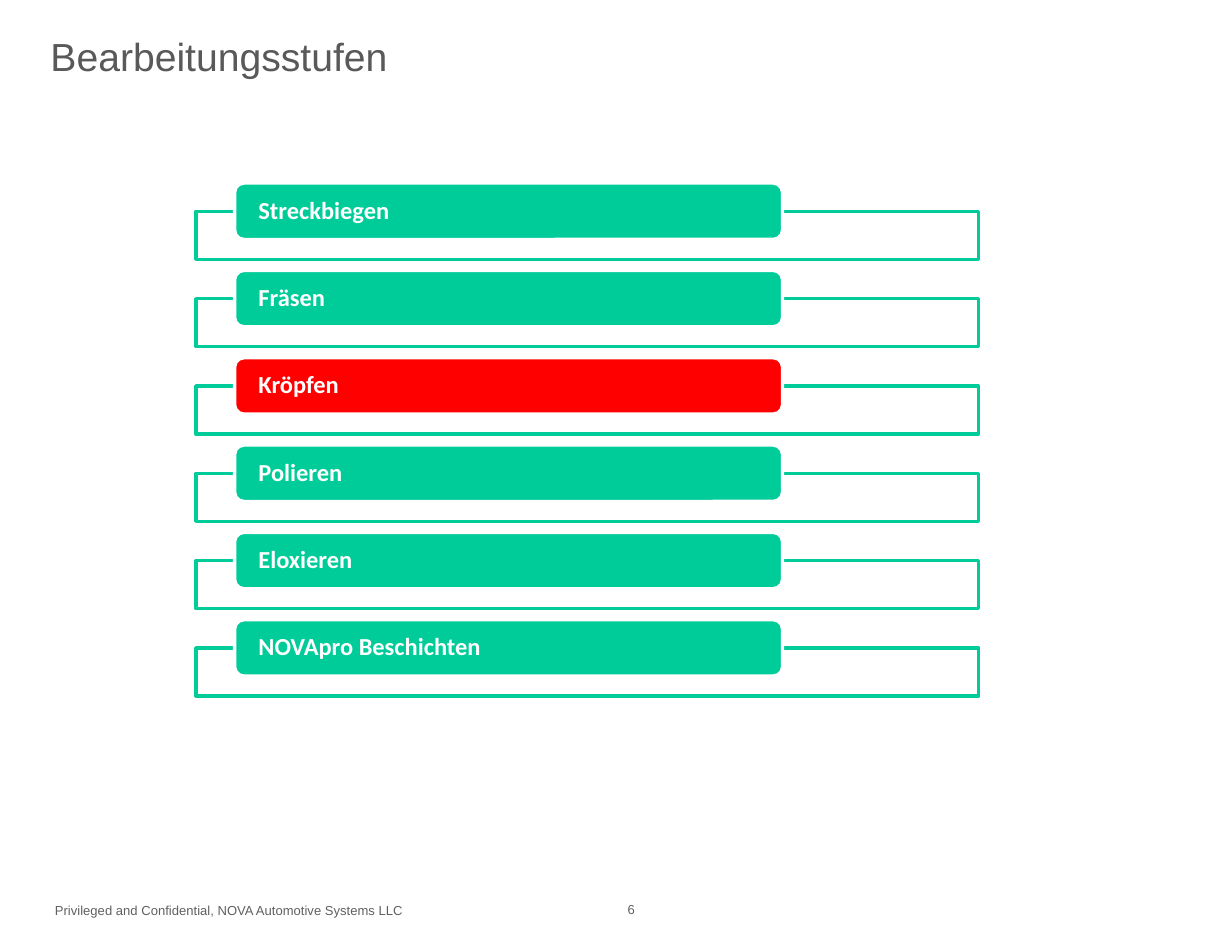
from pptx import Presentation
from pptx.dml.color import RGBColor
from pptx.enum import shapes, text
from pptx.oxml import ns
from pptx.util import Inches, Pt
from lxml import etree

TITLE = "Bearbeitungsstufen"
STEPS = ["Streckbiegen", "Fräsen", "Kröpfen", "Polieren", "Eloxieren", "NOVApro Beschichten"]
HIGHLIGHT = "Kröpfen"
FOOTERS = [
    ("Privileged and Confidential, NOVA Automotive Systems LLC", (0.37, 7.64, 4.3, 0.25)),
    ("6", (5.25, 7.63, 0.5, 0.26)),
]
THEME = {
    "step": "00CC99", "highlight": "FF0000", "white": "FFFFFF",
    "title": "595959", "footer": "606060",
    "heading_font": "Arial", "step_font": "Calibri",
    "title_size": 24, "step_size": 15, "footer_size": 8, "line": 2,
}
FIRST_TOP, LAST_TOP = 1.56, 5.28
PITCH = (LAST_TOP - FIRST_TOP) / (len(STEPS) - 1)
FRAME_DROP = 0.24


def color(name):
    return RGBColor.from_string(THEME[name])


def box(left, top, width, height):
    return [Inches(side) for side in (left, top, width, height)]


def write(frame, content, font, size, ink, bold=False, margins=(0.1, 0.05),
          anchor=text.MSO_ANCHOR.MIDDLE):
    frame.text = content
    frame.word_wrap = True
    frame.auto_size = text.MSO_AUTO_SIZE.NONE
    frame.vertical_anchor = anchor
    frame.margin_left = frame.margin_right = Inches(margins[0])
    frame.margin_top = frame.margin_bottom = Inches(margins[1])
    paragraph = frame.paragraphs[0]
    paragraph.alignment = text.PP_ALIGN.LEFT
    style = paragraph.runs[0].font
    style.name, style.size, style.bold = THEME[font], Pt(THEME[size]), bold
    style.color.rgb = color(ink)
    return paragraph


def add_panel(slide, kind, place, fill, line):
    panel = slide.shapes.add_shape(kind, *box(*place))
    panel.shadow.inherit = False
    panel.fill.solid()
    panel.fill.fore_color.rgb = color(fill)
    panel.line.color.rgb = color(line)
    panel.line.width = Pt(THEME["line"])
    return panel


def add_step(slide, index, step):
    top = FIRST_TOP + index * PITCH
    frame = add_panel(slide, shapes.MSO_SHAPE.RECTANGLE,
                      (1.67, top + FRAME_DROP, 6.67, 0.41), "white", "step")
    fill_color = frame.fill._xPr.find(ns.qn("a:solidFill"))[0]
    etree.SubElement(fill_color, ns.qn("a:alpha"), val="90000")
    label = add_panel(slide, shapes.MSO_SHAPE.ROUNDED_RECTANGLE, (2, top, 4.67, 0.48),
                      "highlight" if step == HIGHLIGHT else "step", "white")
    paragraph = write(label.text_frame, step, "step_font", "step_size", "white",
                      bold=True, margins=(0.18, 0))
    paragraph.line_spacing = 0.9


def main():
    deck = Presentation()
    deck.slide_width, deck.slide_height = Inches(10.5), Inches(8)
    slide = deck.slides.add_slide(deck.slide_layouts[5])
    title = slide.shapes.title
    title.left, title.top, title.width, title.height = box(0.32, 0.01, 8.48, 0.93)
    write(title.text_frame, TITLE, "heading_font", "title_size", "title", margins=(0.11, 0.05))
    for index, step in enumerate(STEPS):
        add_step(slide, index, step)
    for content, place in FOOTERS:
        footer = slide.shapes.add_textbox(*box(*place))
        write(footer.text_frame, content, "heading_font", "footer_size", "footer",
              anchor=text.MSO_ANCHOR.TOP)
    deck.save("out.pptx")


if __name__ == "__main__":
    main()
